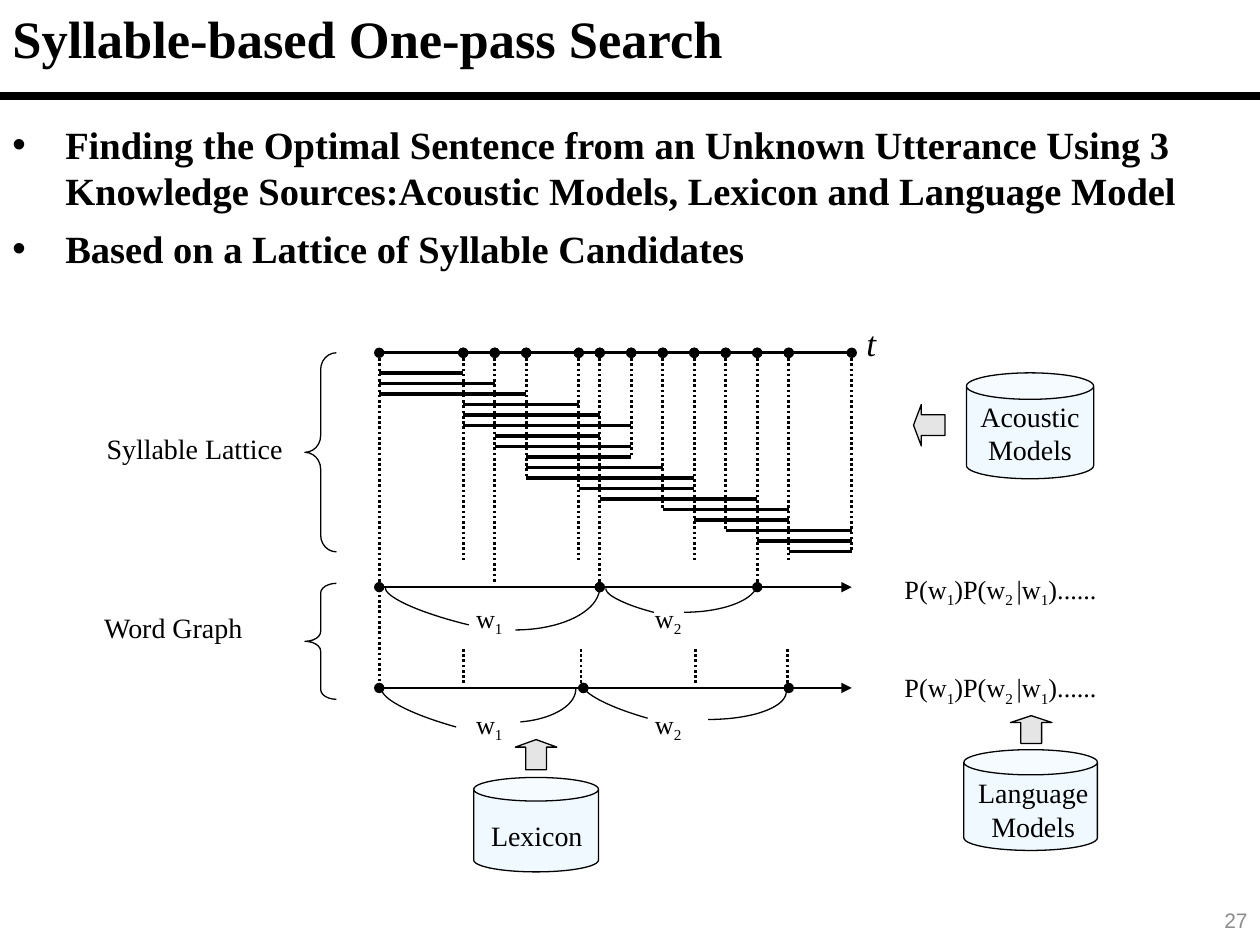
from itertools import pairwise
from lxml import etree
from pptx import Presentation, util as u
from pptx.dml.color import RGBColor
from pptx.enum import dml, shapes, text
from pptx.oxml.ns import qn

I = u.Inches
S = shapes.MSO_SHAPE


def rgb(value):
    return RGBColor.from_string(value)


def write(p, content, size=16, font="Times New Roman", color="000000", bold=False, italic=False):
    for i, part in enumerate(content.split("~")):
        if not part:
            continue
        r = p.add_run()
        r.text = part
        r.font.name, r.font.size = font, u.Pt(size)
        r.font.bold, r.font.italic = bold, italic
        r.font.color.rgb = rgb(color)
        if i % 2:
            r.font._element.set("baseline", "-25000")


class Diagram:
    ink = "000000"
    thin = 0.75

    def __init__(self, slide):
        self.s = slide

    def text(self, box, *paragraphs, align=text.PP_ALIGN.LEFT, anchor=text.MSO_ANCHOR.TOP,
             bullet=False, **style):
        tf = self.s.shapes.add_textbox(*map(I, box)).text_frame
        tf.word_wrap = True
        tf.vertical_anchor = anchor
        for i, content in enumerate(paragraphs):
            p = tf.add_paragraph() if i else tf.paragraphs[0]
            p.alignment = align
            write(p, content, **style)
            if bullet:
                p.space_after = u.Pt(6.6)
                pPr = p._p.get_or_add_pPr()
                pPr.set("marL", str(I(0.42)))
                pPr.set("indent", str(-I(0.42)))
                etree.SubElement(pPr, qn("a:buFont"), typeface="Arial")
                etree.SubElement(pPr, qn("a:buChar"), char="•")

    def outline(self, sp):
        sp.shadow.inherit = False
        sp.line.color.rgb = rgb(self.ink)
        sp.line.width = u.Pt(self.thin)

    def shape(self, kind, box, adjust, fill=None, opacity=100):
        sp = self.s.shapes.add_shape(kind, *map(I, box))
        for i, value in enumerate(adjust):
            sp.adjustments[i] = value
        self.outline(sp)
        if fill:
            sp.fill.solid()
            sp.fill.fore_color.rgb = rgb(fill)
            clr = sp._element.spPr.find(qn("a:solidFill"))[0]
            etree.SubElement(clr, qn("a:alpha"), val=str(opacity * 1000))
        else:
            sp.fill.background()

    def can(self, box, label_box, label):
        self.shape(S.CAN, box, [0.25], "CCECFF", 30)
        self.text(label_box, label, align=text.PP_ALIGN.CENTER)

    def arrow(self, kind, box):
        self.shape(kind, box, [0.5, 0.25], "C0C0C0", 40)

    def line(self, x1, y1, x2, y2, width=1.5, dotted=False, head=None, tail=None):
        c = self.s.shapes.add_connector(shapes.MSO_CONNECTOR.STRAIGHT, *map(I, (x1, y1, x2, y2)))
        c.line.color.rgb = rgb(self.ink)
        c.line.width = u.Pt(width)
        if dotted:
            c.line.dash_style = dml.MSO_LINE.ROUND_DOT
        ln = c.line._get_or_add_ln()
        for tag, kind in (("a:headEnd", head), ("a:tailEnd", tail)):
            if kind:
                etree.SubElement(ln, qn(tag), type=kind)
        etree.SubElement(c._element.spPr, qn("a:effectLst"))

    def curve(self, *controls, steps=20):
        points = []
        for k in range(steps + 1):
            t = k / steps
            weights = ((1 - t) ** 3, 3 * t * (1 - t) ** 2, 3 * t * t * (1 - t), t ** 3)
            points.append(tuple(I(sum(w * v for w, v in zip(weights, axis)))
                                for axis in zip(*controls)))
        fb = self.s.shapes.build_freeform(*points[0])
        fb.add_line_segments(points[1:], close=False)
        sp = fb.convert_to_shape()
        sp.fill.background()
        self.outline(sp)


def main():
    prs = Presentation()
    prs.slide_width, prs.slide_height = I(10), I(7.5)
    d = Diagram(prs.slides.add_slide(prs.slide_layouts[6]))
    center = text.PP_ALIGN.CENTER

    d.text((0, 0, 5.85, 0.6), "Syllable-based One-pass Search", size=30, bold=True)
    d.line(0, 0.76, 10, 0.76, width=4.5)
    d.text((0, 0.91, 9.87, 1.31),
           "Finding the Optimal Sentence from an Unknown Utterance Using 3 "
           "Knowledge Sources:Acoustic Models, Lexicon and Language Model",
           "Based on a Lattice of Syllable Candidates", bullet=True, size=22, bold=True)

    d.shape(S.LEFT_BRACE, (2.42, 2.8, 0.25, 1.58), [0.53, 0.5])
    d.shape(S.LEFT_BRACE, (2.42, 4.63, 0.25, 0.92), [0.31, 0.5])
    d.text((0.67, 3.38, 1.75, 0.37), "Syllable Lattice", align=center)
    d.text((0.5, 4.8, 1.75, 0.37), "Word Graph", align=center)

    axis_y = 2.8
    times = [3.01 + n / 12 for n in (0, 8, 11, 14, 19, 21, 24, 27, 30, 33, 36, 39, 45)]
    drops = (5.42, 4.46, 4.63, 3.8, 4.46, 4.63, 3.63, 4.05, 4.46, 4.21, 4.63, 4.46, 4.38)
    for start, end in pairwise(times):
        d.line(start, axis_y, end, axis_y, head="oval", tail="oval")
    for x, bottom in zip(times, drops):
        d.line(x, axis_y, x, bottom, dotted=True)
    d.text((6.58, 2.5, 0.67, 0.43), "t", align=center, size=20, italic=True)

    syllables = ((0, 1), (0, 2), (0, 3), (1, 4), (1, 5), (1, 6), (2, 5), (2, 6), (3, 6),
                 (3, 7), (3, 8), (4, 8), (5, 10), (7, 11), (8, 11), (9, 12), (10, 12), (11, 12))
    for i, (start, end) in enumerate(syllables):
        y = 2.96 + i / 12
        d.line(times[start], y, times[end], y, width=1.8)

    for y, nodes in ((4.66, (3.01, 4.76, 6.01)), (5.46, (3.01, 4.63, 6.26))):
        for start, end in pairwise(nodes):
            d.line(start, y, end, y, head="oval", tail="oval")
        d.line(nodes[-1], y, 6.76, y, tail="triangle")
    for x in (3.68, 4.61, 5.52, 6.25):
        d.line(x, 5.15, x, 5.44, dotted=True)

    for arc in (((3.72, 4.96), (3.31, 4.86), (3.04, 4.73), (3.06, 4.66)),
                ((4.09, 5), (4.46, 5), (4.76, 4.85), (4.76, 4.66)),
                ((5.19, 4.86), (4.96, 4.8), (4.8, 4.72), (4.81, 4.67)),
                ((5.43, 4.86), (5.76, 4.86), (6.01, 4.75), (6.01, 4.63)),
                ((3.62, 5.77), (3.26, 5.67), (3.01, 5.54), (3.03, 5.46)),
                ((4.13, 5.73), (4.38, 5.71), (4.57, 5.6), (4.57, 5.47)),
                ((5.14, 5.7), (4.82, 5.61), (4.6, 5.49), (4.62, 5.42)),
                ((5.62, 5.71), (5.98, 5.71), (6.24, 5.61), (6.24, 5.49))):
        d.curve(*arc)

    for y, score_y in ((4.73, 4.5), (5.57, 5.28)):
        d.text((3.68, y, 0.6, 0.35), "w~1", size=15)
        d.text((5.1, y, 0.6, 0.35), "w~2", size=15)
        d.text((7.08, score_y, 1.92, 0.35), "P(w~1~)P(w~2 ~|w~1~)......", size=15)

    d.can((7.67, 2.96, 1.01, 0.84), (7.67, 3.12, 1.01, 0.64), "Acoustic Models")
    d.can((7.65, 5.95, 1.06, 0.8), (7.63, 6.11, 1.14, 0.64), "Language Models")
    d.can((3.76, 6.17, 0.99, 0.75), (3.75, 6.45, 1.02, 0.37), "Lexicon")
    d.arrow(S.LEFT_ARROW, (7.25, 3.21, 0.25, 0.33))
    d.arrow(S.UP_ARROW, (4.09, 5.87, 0.33, 0.24))
    d.arrow(S.UP_ARROW, (8.02, 5.68, 0.33, 0.22))

    d.text((7.75, 7.1, 2.25, 0.4), "27", align=text.PP_ALIGN.RIGHT,
           anchor=text.MSO_ANCHOR.MIDDLE, size=12, font="Arial", color="8C8C8C")
    prs.save("out.pptx")


if __name__ == "__main__":
    main()
